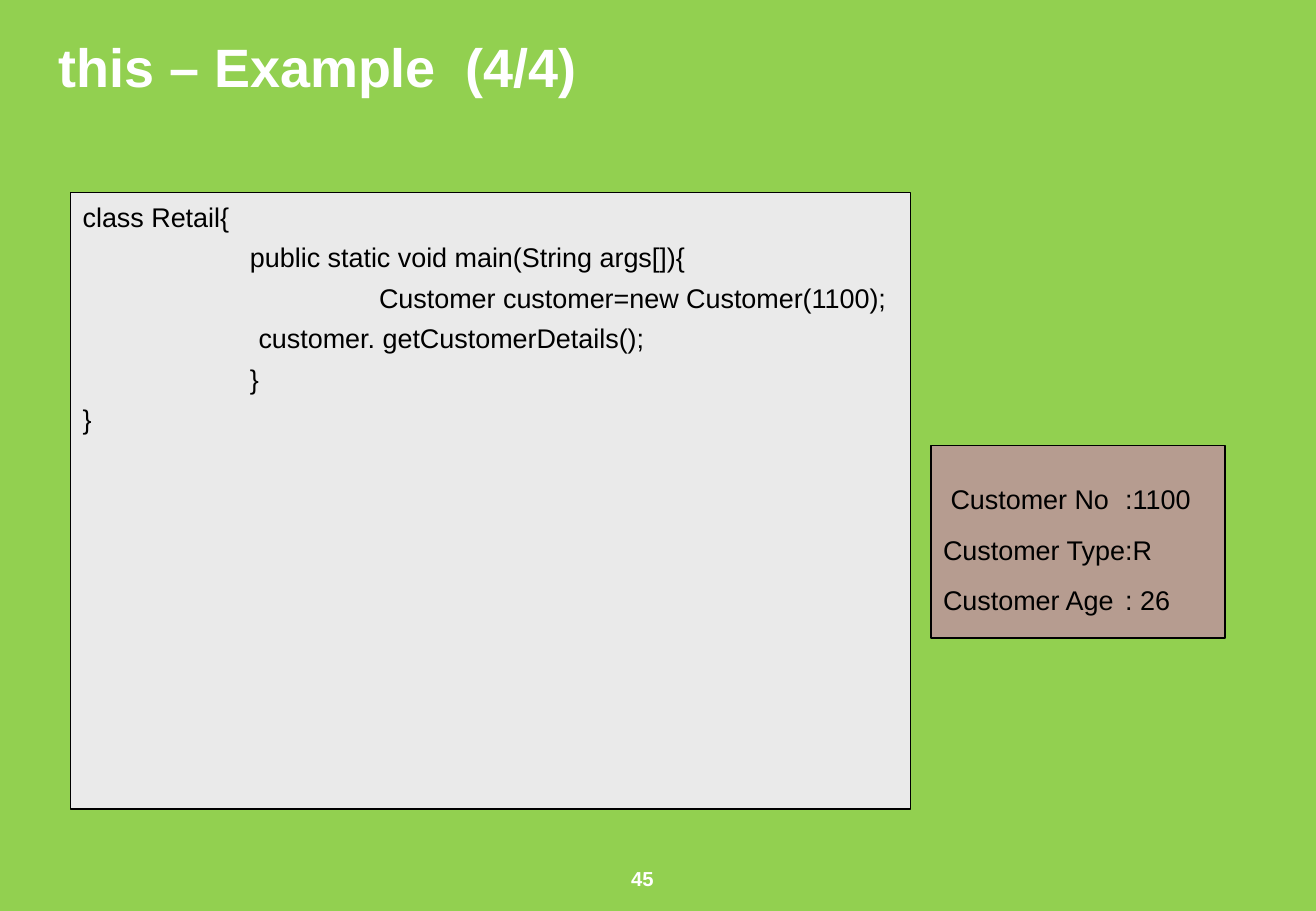
from lxml.etree import SubElement
from pptx import Presentation
from pptx.dml.color import RGBColor
from pptx.enum.shapes import MSO_SHAPE as Shape
from pptx.enum.text import MSO_ANCHOR as Anchor, PP_ALIGN as Align
from pptx.oxml import parse_xml
from pptx.oxml.ns import nsdecls, qn
from pptx.util import Cm, Pt

GREEN = RGBColor(0x92, 0xD0, 0x50)
GREY = RGBColor(0xEA, 0xEA, 0xEA)
BROWN = RGBColor(0xB6, 0x9C, 0x90)
BLACK = RGBColor(0, 0, 0)
WHITE = RGBColor(0xFF, 0xFF, 0xFF)

CODE = [  # indent in cm, text
    (0, "class Retail{"),
    (3.5, "public static void main(String args[]){"),
    (6.2, "Customer customer=new Customer(1100);"),
    (3.68, "customer. getCustomerDetails();"),
    (3.5, "}"),
    (0, "}"),
]
OUTPUT = [(0, " Customer No\t:1100"), (0, "Customer Type\t:R"), (0, "Customer Age\t: 26")]


def write(frame, lines, size=16, color=BLACK, bold=False, align=Align.LEFT,
          anchor=Anchor.TOP, top=0.13, after=0, tab=None, shadow=False):
    """Fill a text frame with (indent in cm, text) lines."""
    frame.word_wrap = True
    frame.vertical_anchor = anchor
    frame.margin_top = Cm(top)
    for number, (indent, text) in enumerate(lines):
        line = frame.add_paragraph() if number else frame.paragraphs[0]
        line.alignment = align
        line.space_after = Pt(after)
        properties = line._p.get_or_add_pPr()
        properties.set("marL", str(Cm(indent)))
        properties.set("indent", "0")
        if tab:
            stops = SubElement(properties, qn("a:tabLst"))
            SubElement(stops, qn("a:tab"), pos=str(Cm(tab)), algn="l")
        run = line.add_run()
        run.text = text
        run.font.size = Pt(size)
        run.font.bold = bold
        run.font.color.rgb = color
        if shadow:
            run._r.get_or_add_rPr().append(parse_xml(
                f'<a:effectLst {nsdecls("a")}><a:outerShdw dist="17961" dir="2700000">'
                '<a:srgbClr val="000000"/></a:outerShdw></a:effectLst>'))
        run.font.name = "Arial"


class Page:
    def __init__(self, slide, background):
        self.shapes = slide.shapes
        slide.background.fill.solid()
        slide.background.fill.fore_color.rgb = background

    def label(self, text, box, **style):
        field = self.shapes.add_textbox(*map(Cm, box))
        write(field.text_frame, [(0, text)], color=WHITE, bold=True, **style)

    def panel(self, lines, box, fill, border, **style):
        panel = self.shapes.add_shape(Shape.RECTANGLE, *map(Cm, box))
        panel.shadow.inherit = False
        panel.fill.solid()
        panel.fill.fore_color.rgb = fill
        panel.line.color.rgb = BLACK
        panel.line.width = Pt(border)
        write(panel.text_frame, lines, **style)


def main():
    deck = Presentation()
    deck.slide_width, deck.slide_height = Cm(27.53), Cm(19.05)
    page = Page(deck.slides.add_slide(deck.slide_layouts[6]), GREEN)
    page.label("45", (12.27, 17.98, 2.34, 1.32), size=12, align=Align.CENTER, shadow=True)
    page.label("this – Example  (4/4)", (0.97, 0.66, 25.8, 1.42), size=32, anchor=Anchor.MIDDLE)
    page.panel(CODE, (1.48, 4.02, 17.57, 12.9), GREY, 0.75, top=0.17, after=4.8)
    page.panel(OUTPUT, (19.48, 9.32, 6.15, 4.02), BROWN, 1, top=0.78, after=10.6, tab=4.1)
    deck.save("out.pptx")


if __name__ == "__main__":
    main()
